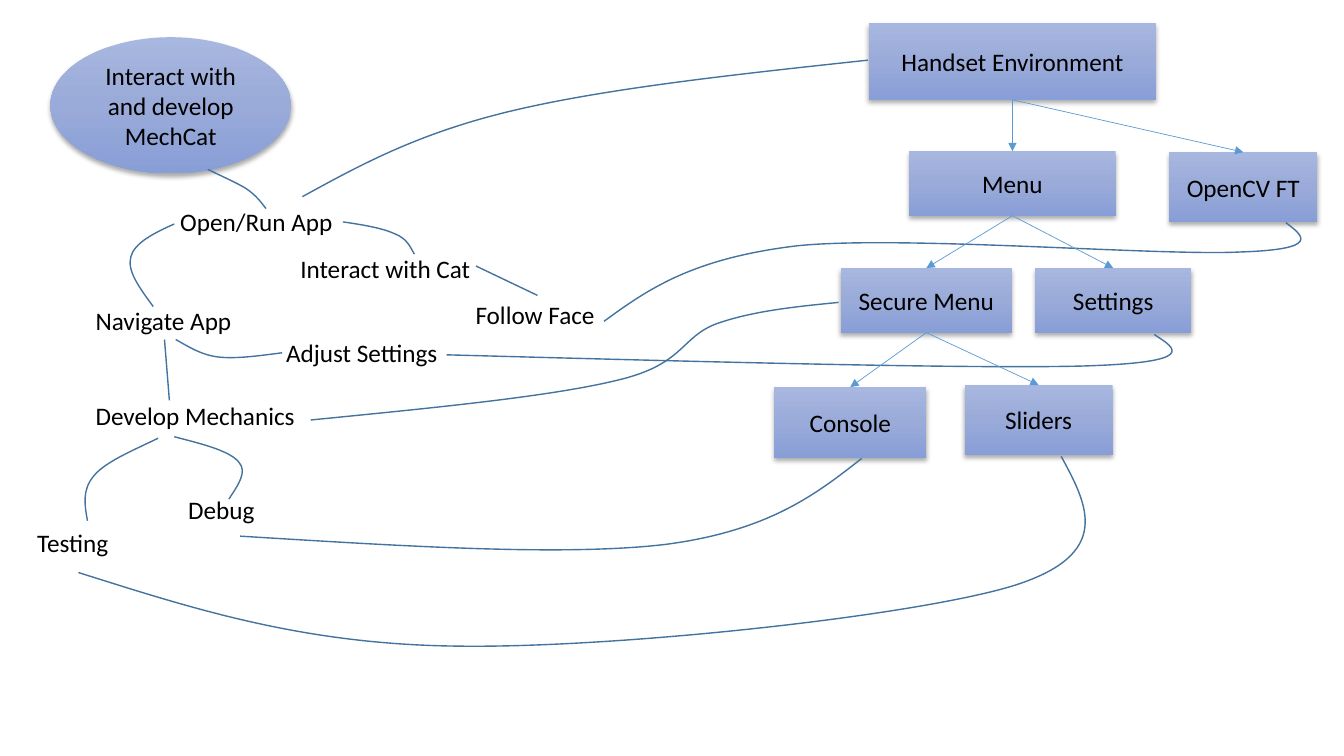
from copy import deepcopy

from lxml import etree
from pptx import Presentation
from pptx.dml.color import RGBColor
from pptx.enum import shapes, text
from pptx.oxml.ns import qn
from pptx.util import Pt

BLACK = RGBColor(0x00, 0x00, 0x00)
CURVE = RGBColor(0x43, 0x73, 0x9E)
ARROW = RGBColor(0x5B, 0x9B, 0xD5)
STOPS = [
    (0, RGBColor(0xA8, 0xB7, 0xDF)),
    (0.5, RGBColor(0x9A, 0xAB, 0xD9)),
    (1, RGBColor(0x88, 0x9E, 0xD7)),
]
RECT = shapes.MSO_SHAPE.RECTANGLE
OVAL = shapes.MSO_SHAPE.OVAL

# name: left, top, width, height
BOXES = {
    "Handset Environment": (620.6, 16.6, 205.2, 54.7),
    "Menu": (649.4, 108, 147.6, 46.1),
    "Secure Menu": (600.5, 191.5, 122.4, 46.1),
    "Settings": (739.4, 191.5, 111.6, 46.1),
    "Sliders": (689, 275, 105.8, 49.7),
    "Console": (553, 276.5, 108.7, 50.4),
    "OpenCV FT": (835.2, 108.7, 105.8, 49.7),
}
TREE = [
    ("Handset Environment", "Menu"),
    ("Handset Environment", "OpenCV FT"),
    ("Menu", "Secure Menu"),
    ("Menu", "Settings"),
    ("Secure Menu", "Console"),
    ("Secure Menu", "Sliders"),
]
# name: left, top, width
TASKS = {
    "Open/Run App": (121.7, 144, 147),
    "Interact with Cat": (207.4, 177.1, 147),
    "Navigate App": (61.2, 214.6, 147),
    "Develop Mechanics": (61.2, 282.2, 169),
    "Testing": (19.4, 373, 83.5),
    "Debug": (127.4, 349.9, 83.5),
    "Adjust Settings": (197.3, 237.6, 147.6),
    "Follow Face": (332.6, 210.2, 110.9),
}
# A start point, then two handles and an end point for each bend
CURVES = [
    [(620, 43), (527, 53), (434, 63), (366.5, 79),
     (299, 95), (258, 117.5), (216, 140.5)],
    [(148.5, 121), (158.5, 126), (169, 130.5), (175.5, 134.5),
     (183, 139.5), (186.5, 144.5), (190, 149)],
    [(245, 158.5), (259, 160.5), (273.5, 163), (282, 167),
     (291, 170.5), (293, 176.5), (296, 181.5)],
    [(431.5, 229.5), (463, 206.5), (494.5, 184.5), (570, 175.5),
     (646, 168), (828, 183), (886.5, 180),
     (944, 178), (931, 168.5), (918.5, 159)],
    [(124.5, 160), (110, 166.5), (96, 173.5), (93.5, 183.5),
     (90.5, 193.5), (100, 206), (109.5, 219)],
    [(125.5, 242.5), (134.5, 247.5), (143.5, 253.5), (156, 255),
     (169, 256.5), (186, 254), (201.5, 252)],
    [(113, 313), (94.5, 322), (75, 330), (67, 340),
     (58.5, 350), (60.5, 361), (62.5, 372)],
    [(124.5, 312), (144, 317), (164, 322), (170.5, 330),
     (177, 337), (170, 346.5), (163.5, 356.5)],
    [(56, 409), (135.5, 434), (214, 460), (324.5, 461.5),
     (436.5, 463.5), (651, 440.5), (723.5, 418.5),
     (795.5, 396), (777, 361), (758, 326)],
    [(171.5, 383), (286, 390), (401, 397.5), (474.5, 389),
     (548.5, 379.5), (582.5, 353.5), (615.5, 327.5)],
    [(319, 253.5), (504, 258.5), (688.5, 263.5), (772.5, 261.5),
     (857, 259), (840, 249), (824.5, 239)],
    [(222, 300), (307.5, 291.5), (392.5, 283.5), (441.5, 271.5),
     (489.5, 260), (486, 240.5), (512.5, 231),
     (538.5, 222), (569, 219), (599, 216)],
]
LINES = [[(340, 190), (384, 211)], [(117.5, 242.5), (121, 286)]]


def write(frame, words, font="Calibri", size=18, color=BLACK,
          align=text.PP_ALIGN.LEFT, anchor=text.MSO_ANCHOR.TOP):
    frame.word_wrap = True
    frame.vertical_anchor = anchor
    para = frame.paragraphs[0]
    para.alignment = align
    run = para.add_run()
    run.text = words
    run.font.name = font
    run.font.size = Pt(size)
    run.font.color.rgb = color


def sub(parent, tag, **attrs):
    return etree.SubElement(parent, qn(tag), attrs)


class Chart:
    """Draws the parts of the task map on one slide."""

    def __init__(self, slide):
        self.shapes = slide.shapes

    def node(self, kind, words, area):
        node = self.shapes.add_shape(kind, *map(Pt, area))
        node.line.fill.background()
        self.shade(node)
        write(node.text_frame, words, align=text.PP_ALIGN.CENTER,
              anchor=text.MSO_ANCHOR.MIDDLE)
        return node

    def shade(self, node):
        """Give a node its three-stop gradient and its drop shadow."""
        node.fill.gradient()
        node.fill.gradient_angle = 270
        props = node._element.spPr
        stops = props.find(".//" + qn("a:gsLst"))
        stops.insert(1, deepcopy(stops[0]))
        for stop, (place, color) in zip(node.fill.gradient_stops, STOPS):
            stop.position = place
            stop.color.rgb = color
        node.shadow.inherit = False
        drop = sub(props.find(qn("a:effectLst")), "a:outerShdw",
                   blurRad=str(Pt(3.5)), dist=str(Pt(2.2)),
                   dir="5400000", rotWithShape="0")
        sub(sub(drop, "a:srgbClr", val=str(BLACK)), "a:alpha", val="32000")

    def label(self, words, left, top, width, height=28.8):
        box = self.shapes.add_textbox(*map(Pt, (left, top, width, height)))
        write(box.text_frame, words)
        box.text_frame.auto_size = text.MSO_AUTO_SIZE.SHAPE_TO_FIT_TEXT

    def line(self, points):
        start, *rest = [(Pt(x), Pt(y)) for x, y in points]
        pen = self.shapes.build_freeform(*start)
        pen.add_line_segments(rest, close=False)
        line = pen.convert_to_shape()
        line.fill.background()
        line.line.color.rgb = CURVE
        line.line.width = Pt(1)
        line.shadow.inherit = False
        return line

    def curve(self, points):
        """Draw a line through the end points, then bend each segment."""
        line = self.line(points[::3])
        trace = line._element.spPr.find(".//" + qn("a:path"))
        for part in trace.findall(qn("a:lnTo")):
            trace.remove(part)
        for i in range(1, len(points), 3):
            bend = sub(trace, "a:cubicBezTo")
            for x, y in points[i:i + 3]:
                sub(bend, "a:pt", x=str(Pt(x) - line.left),
                    y=str(Pt(y) - line.top))

    def arrow(self, start, end):
        arrow = self.shapes.add_connector(
            shapes.MSO_CONNECTOR.STRAIGHT, 0, 0, 0, 0)
        arrow.begin_connect(start, 2)
        arrow.end_connect(end, 0)
        arrow.line.color.rgb = ARROW
        arrow.line.width = Pt(0.5)
        sub(arrow.line._get_or_add_ln(), "a:tailEnd", type="triangle")
        sub(arrow._element.spPr, "a:effectLst")


def main():
    deck = Presentation()
    deck.slide_width, deck.slide_height = Pt(960), Pt(540)
    chart = Chart(deck.slides.add_slide(deck.slide_layouts[6]))
    nodes = {name: chart.node(RECT, name, area)
             for name, area in BOXES.items()}
    chart.node(OVAL, "Interact with and develop MechCat",
               (36, 26.6, 172, 97.2))
    for name, place in TASKS.items():
        chart.label(name, *place)
    for points in CURVES:
        chart.curve(points)
    for points in LINES:
        chart.line(points)
    for start, end in TREE:
        chart.arrow(nodes[start], nodes[end])
    deck.save("out.pptx")


if __name__ == "__main__":
    main()
